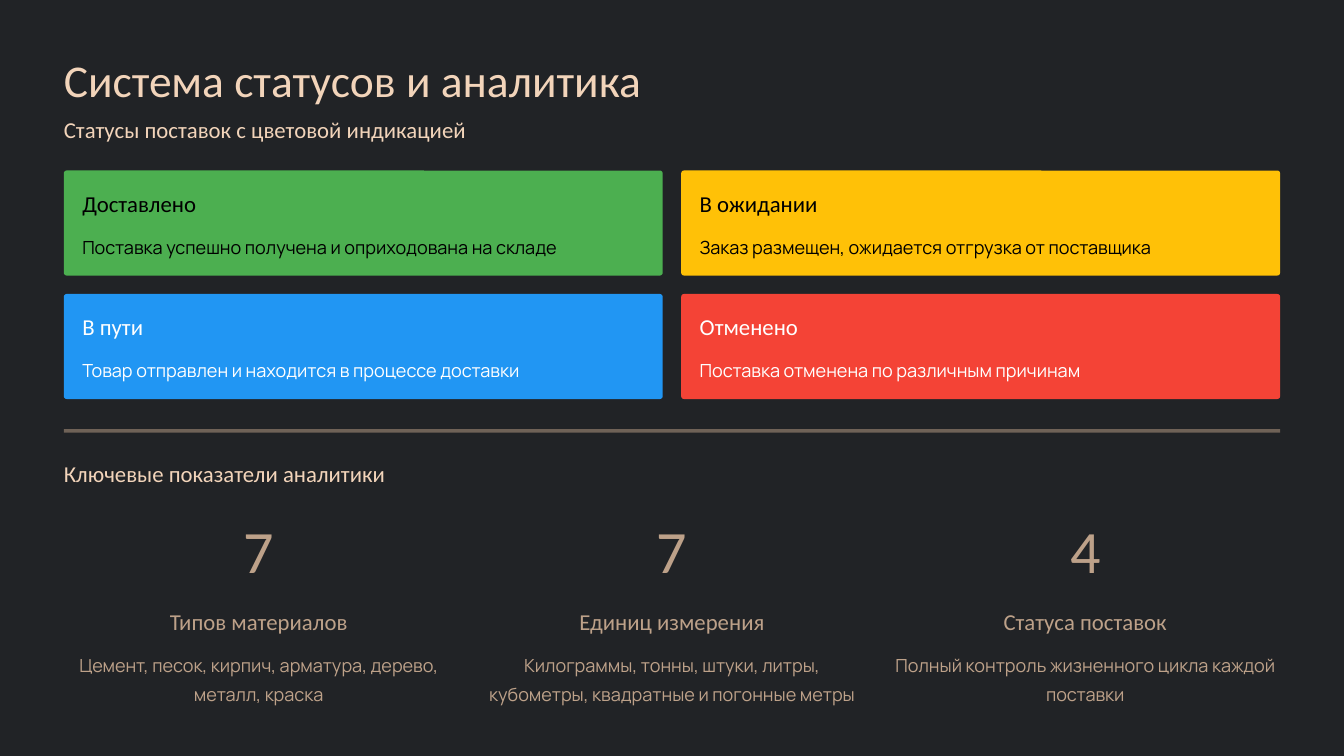
from lxml.etree import SubElement
from pptx import Presentation
from pptx.dml.color import RGBColor
from pptx.enum.shapes import MSO_SHAPE
from pptx.enum.text import PP_ALIGN
from pptx.oxml.ns import qn
from pptx.util import Inches, Pt

COLORS = {
    "back": "212326", "heading": "F2D4BA", "muted": "BDA189",
    "black": "000000", "white": "FFFFFF",
    "green": "4CAF50", "amber": "FFC107", "blue": "2196F3", "red": "F44336",
}
# Text styles: font, size and line spacing in points
STYLES = {
    "title": ("Calibri", 39, 48.5),
    "subtitle": ("Calibri", 19.5, 24),
    "number": ("Calibri", 51.5, 51.5),
    "body": ("Manrope", 15.5, 25),
}
MARGIN = 0.76

STATUSES = [
    ("Доставлено", "Поставка успешно получена и оприходована на складе", "green", "black"),
    ("В ожидании", "Заказ размещен, ожидается отгрузка от поставщика", "amber", "black"),
    ("В пути", "Товар отправлен и находится в процессе доставки", "blue", "white"),
    ("Отменено", "Поставка отменена по различным причинам", "red", "white"),
]
METRICS = [
    ("7", "Типов материалов", "Цемент, песок, кирпич, арматура, дерево, металл, краска"),
    ("7", "Единиц измерения", "Килограммы, тонны, штуки, литры, кубометры, квадратные и погонные метры"),
    ("4", "Статуса поставок", "Полный контроль жизненного цикла каждой поставки"),
]


def color(name):
    return RGBColor.from_string(COLORS[name])


def write(para, text, style="body", ink="heading", align=PP_ALIGN.LEFT):
    font, size, spacing = STYLES[style]
    para.alignment = align
    para.line_spacing = Pt(spacing)
    span = para.add_run()
    span.text = text
    span.font.name = font
    span.font.size = Pt(size)
    span.font.color.rgb = color(ink)


class StatusSlide:
    def __init__(self, page):
        self.page = page
        page.background.fill.solid()
        page.background.fill.fore_color.rgb = color("back")

    def text(self, left, top, width, height, text, wrap=False, **style):
        box = self.page.shapes.add_textbox(
            Inches(left), Inches(top), Inches(width), Inches(height))
        frame = box.text_frame
        frame.margin_left = frame.margin_right = 0
        frame.margin_top = frame.margin_bottom = 0
        frame.word_wrap = wrap
        write(frame.paragraphs[0], text, **style)

    def block(self, left, top, width, height, fill, kind=MSO_SHAPE.RECTANGLE):
        shape = self.page.shapes.add_shape(
            kind, Inches(left), Inches(top), Inches(width), Inches(height))
        shape.shadow.inherit = False
        shape.fill.solid()
        shape.fill.fore_color.rgb = color(fill)
        shape.line.fill.background()
        return shape

    def card(self, left, top, name, detail, fill, ink):
        card = self.block(left, top, 7.13, 1.25, fill, MSO_SHAPE.ROUNDED_RECTANGLE)
        card.adjustments[0] = 0.026
        self.text(left + 0.22, top + 0.22, 2.72, 0.34, name, style="subtitle", ink=ink)
        self.text(left + 0.22, top + 0.69, 6.7, 0.35, detail, ink=ink)

    def divider(self, top):
        bar = self.block(MARGIN, top, 14.48, 0.04, "muted")
        fill_color = bar.fill._xPr.find(qn("a:solidFill"))[0]
        SubElement(fill_color, qn("a:alpha"), val="50000")

    def metric(self, left, number, name, detail):
        look = {"ink": "muted", "align": PP_ALIGN.CENTER}
        self.text(left, 6.25, 4.64, 0.72, number, style="number", **look)
        self.text(left + 0.96, 7.23, 2.72, 0.34, name, style="subtitle", **look)
        self.text(left, 7.7, 4.64, 0.7, detail, wrap=True, **look)


def main():
    deck = Presentation()
    deck.slide_width, deck.slide_height = Inches(16), Inches(9)
    slide = StatusSlide(deck.slides.add_slide(deck.slide_layouts[6]))

    # Headings
    slide.text(MARGIN, 0.6, 8.44, 0.68, "Система статусов и аналитика", style="title")
    slide.text(MARGIN, 1.37, 5.77, 0.34, "Статусы поставок с цветовой индикацией",
               style="subtitle")

    # Status cards, two by two
    for index, status in enumerate(STATUSES):
        row, column = divmod(index, 2)
        slide.card(MARGIN + 7.35 * column, 2.03 + 1.47 * row, *status)

    # Analytics
    slide.divider(5.11)
    slide.text(MARGIN, 5.47, 4.62, 0.34, "Ключевые показатели аналитики", style="subtitle")
    for column, metric in enumerate(METRICS):
        slide.metric(MARGIN + 4.92 * column, *metric)

    deck.save("out.pptx")


if __name__ == "__main__":
    main()
